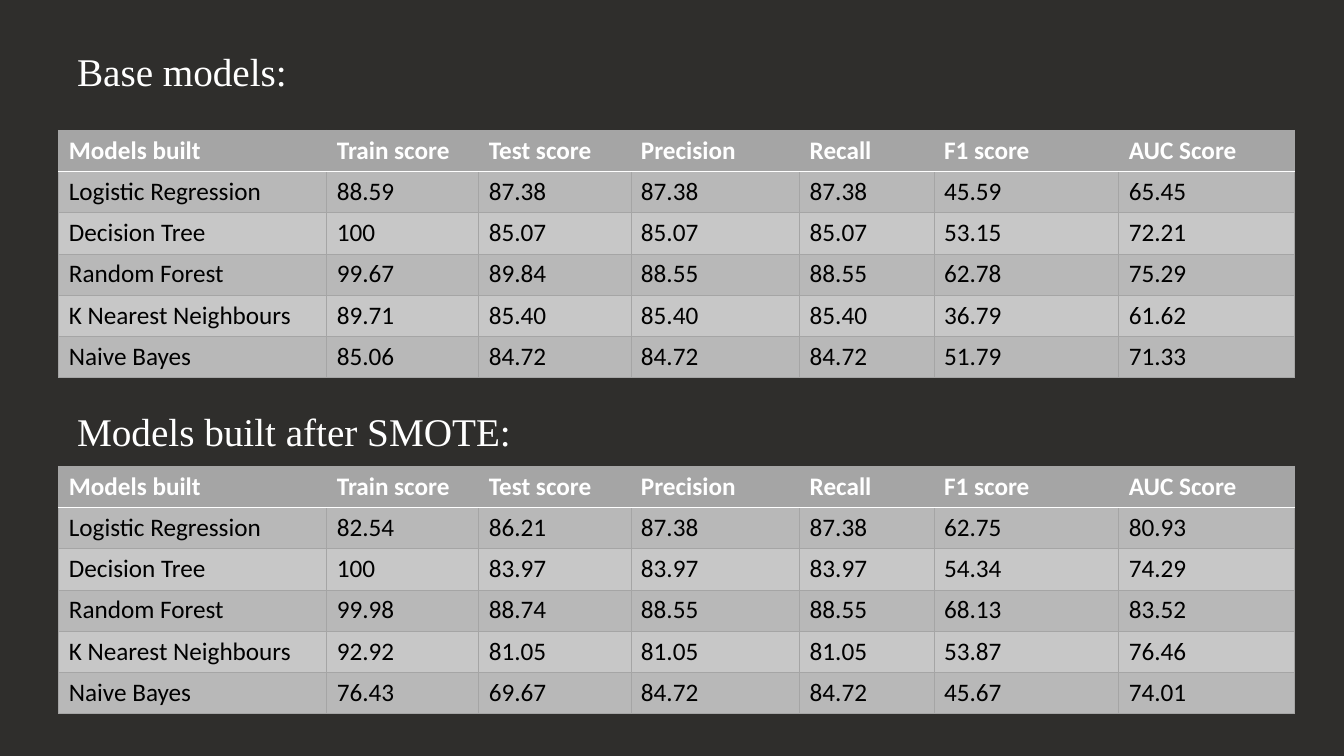
from lxml import etree
from pptx import Presentation
from pptx import util as u
from pptx.dml.color import RGBColor
from pptx.enum import text
from pptx.oxml import ns

CHARCOAL = RGBColor(0x2F, 0x2E, 0x2C)
WHITE = RGBColor(0xFF, 0xFF, 0xFF)
BLACK = RGBColor(0x00, 0x00, 0x00)
GRAY = RGBColor(0xA5, 0xA5, 0xA5)
DARK_BAND = RGBColor(0xB8, 0xB8, 0xB8)
LIGHT_BAND = RGBColor(0xC7, 0xC7, 0xC7)

GRID_COLUMNS, GRID_ROWS = 160, 90
UNIT = u.Inches(7.5) / GRID_ROWS
COLUMN_WIDTHS = [31.9, 18.1, 18.1, 20.1, 16, 22, 20.9]
ROW_HEIGHT = 4.91
TABLE_LEFT, HEADING_LEFT = 7, 8

HEADER = ["Models built", "Train score", "Test score", "Precision",
          "Recall", "F1 score", "AUC Score"]
BASE_SCORES = [
    ["Logistic Regression", "88.59", "87.38", "87.38", "87.38", "45.59", "65.45"],
    ["Decision Tree", "100", "85.07", "85.07", "85.07", "53.15", "72.21"],
    ["Random Forest", "99.67", "89.84", "88.55", "88.55", "62.78", "75.29"],
    ["K Nearest Neighbours", "89.71", "85.40", "85.40", "85.40", "36.79", "61.62"],
    ["Naive Bayes", "85.06", "84.72", "84.72", "84.72", "51.79", "71.33"],
]
SMOTE_SCORES = [
    ["Logistic Regression", "82.54", "86.21", "87.38", "87.38", "62.75", "80.93"],
    ["Decision Tree", "100", "83.97", "83.97", "83.97", "54.34", "74.29"],
    ["Random Forest", "99.98", "88.74", "88.55", "88.55", "68.13", "83.52"],
    ["K Nearest Neighbours", "92.92", "81.05", "81.05", "81.05", "53.87", "76.46"],
    ["Naive Bayes", "76.43", "69.67", "84.72", "84.72", "45.67", "74.01"],
]


def grid(count):
    return u.Emu(round(count * UNIT))


def add_run(paragraph, words, font_name, size, color, bold=False):
    run = paragraph.add_run()
    run.text = words
    run.font.name = font_name
    run.font.size = u.Pt(size)
    run.font.bold = bold
    run.font.color.rgb = color


def add_heading(slide, words, top, width, wrap):
    box = slide.shapes.add_textbox(grid(HEADING_LEFT), grid(top), grid(width), grid(6.9))
    frame = box.text_frame
    frame.word_wrap = wrap
    frame.auto_size = text.MSO_AUTO_SIZE.SHAPE_TO_FIT_TEXT
    add_run(frame.paragraphs[0], words, "Times New Roman", 28, WHITE)


def set_border(cell, side, color, points):
    properties = cell._tc.get_or_add_tcPr()
    line = etree.SubElement(properties, ns.qn(f"a:ln{side}"), w=str(u.Pt(points)))
    fill = etree.SubElement(line, ns.qn("a:solidFill"))
    etree.SubElement(fill, ns.qn("a:srgbClr"), val=str(color))


def style_cell(cell, words, row):
    is_header = row == 0
    white_side = {0: "T", 1: "B"}.get(1 - row)
    for side in "LRTB":
        if side == white_side:
            set_border(cell, side, WHITE, 1)
        else:
            set_border(cell, side, GRAY, 0.5)
    cell.fill.solid()
    band = DARK_BAND if row % 2 else LIGHT_BAND
    cell.fill.fore_color.rgb = GRAY if is_header else band
    add_run(cell.text_frame.paragraphs[0], words, "Calibri", 18,
            WHITE if is_header else BLACK, is_header)


def add_score_table(slide, top, scores):
    rows = [HEADER] + scores
    frame = slide.shapes.add_table(
        len(rows), len(HEADER), grid(TABLE_LEFT), grid(top),
        grid(sum(COLUMN_WIDTHS)), grid(ROW_HEIGHT * len(rows)))
    table = frame.table
    table.horz_banding = False
    for column, width in zip(table.columns, COLUMN_WIDTHS):
        column.width = grid(width)
    for row_index, values in enumerate(rows):
        table.rows[row_index].height = grid(ROW_HEIGHT)
        for column_index, words in enumerate(values):
            style_cell(table.cell(row_index, column_index), words, row_index)


def main():
    presentation = Presentation()
    presentation.slide_width = grid(GRID_COLUMNS)
    presentation.slide_height = grid(GRID_ROWS)
    slide = presentation.slides.add_slide(presentation.slide_layouts[6])
    slide.background.fill.solid()
    slide.background.fill.fore_color.rgb = CHARCOAL

    add_heading(slide, "Base models:", 5, 138, True)
    add_score_table(slide, 15.5, BASE_SCORES)
    add_heading(slide, "Models built after SMOTE:", 47.9, 54.6, False)
    add_score_table(slide, 55.5, SMOTE_SCORES)

    presentation.save("out.pptx")


main()
